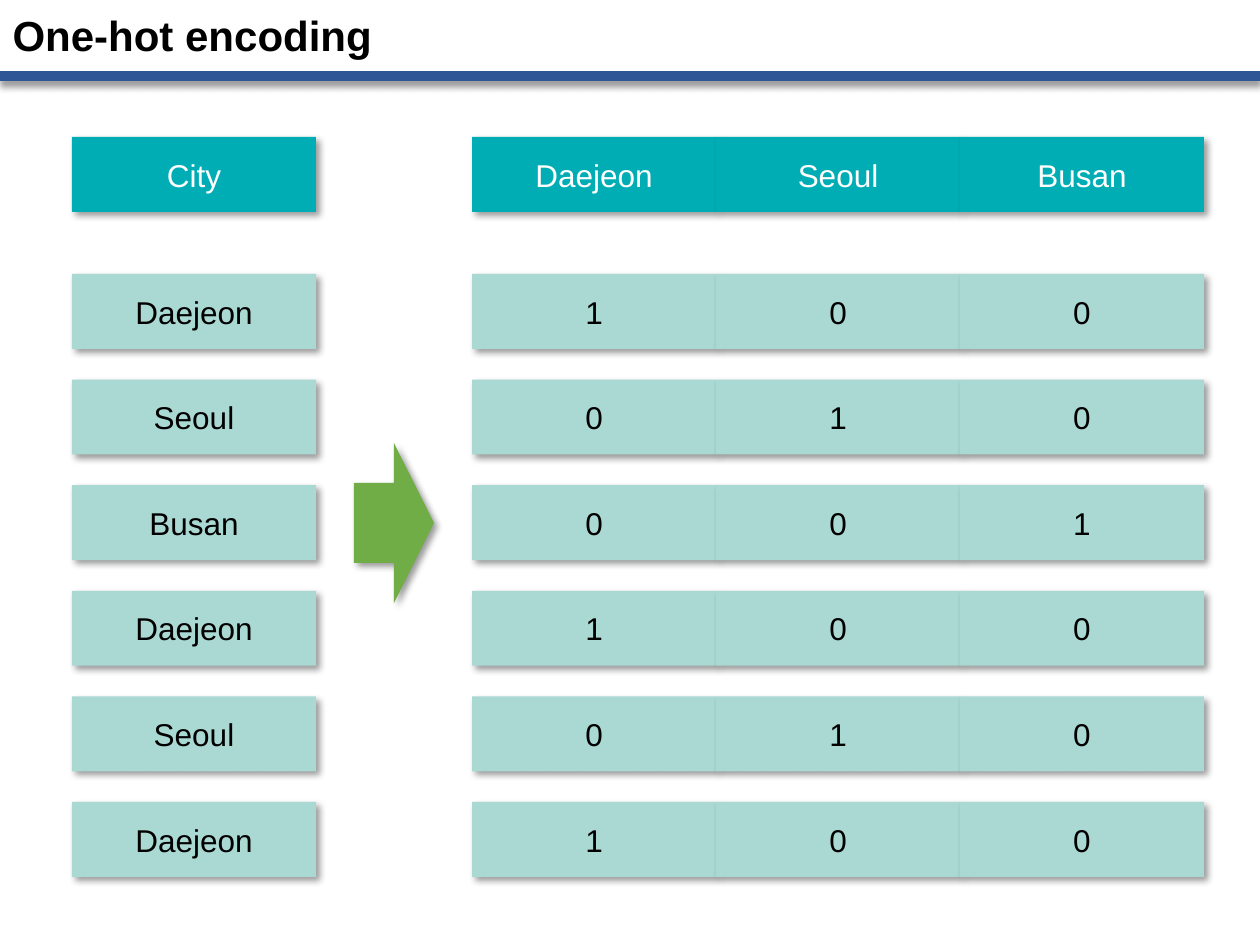
"""Build a slide that shows one-hot encoding of a city column."""
from lxml.etree import SubElement
from pptx import Presentation
from pptx.dml.color import RGBColor
from pptx.enum.shapes import MSO_CONNECTOR, MSO_SHAPE
from pptx.enum.text import MSO_ANCHOR, PP_ALIGN
from pptx.oxml.ns import qn
from pptx.util import Emu, Pt

TITLE = "One-hot encoding"
COLUMN = "City"
CATEGORIES = ["Daejeon", "Seoul", "Busan"]
CITIES = ["Daejeon", "Seoul", "Busan", "Daejeon", "Seoul", "Daejeon"]

FONT = "Arial"
BLACK, WHITE = "000000", "FFFFFF"
HEADER_FILL, VALUE_FILL = "00ADB5", "AAD8D3"
ARROW_FILL, RULE_COLOR = "70AD47", "2F5597"

SLIDE_WIDTH, SLIDE_HEIGHT = 1260, 945
TITLE_HEIGHT, RULE_TOP = 75, 76
CELL_WIDTH, CELL_HEIGHT = 244, 75
CITY_LEFT, CODE_LEFT = 72, 472
HEADER_TOP, FIRST_TOP, LAST_TOP = 137, 274, 802
ARROW_BOX = (354, 443, 80, 160)


def px(value):
    return Emu(round(value * 914400 / 126))


def color(hex_string):
    return RGBColor.from_string(hex_string)


def add_shadow(shape, angle):
    effects = SubElement(shape._element.spPr, qn("a:effectLst"))
    shadow = SubElement(effects, qn("a:outerShdw"), blurRad=str(Pt(4)), dist=str(Pt(3)),
                        dir=str(angle * 60000), algn="tl", rotWithShape="0")
    shade = SubElement(shadow, qn("a:srgbClr"), val=BLACK)
    SubElement(shade, qn("a:alpha"), val="40000")


def add_run(paragraph, text, size, font_color, bold=False):
    run = paragraph.add_run()
    run.text = text
    run.font.name = FONT
    run.font.size = Pt(size)
    run.font.bold = bold
    run.font.color.rgb = color(font_color)


def add_block(shapes, preset, box, fill):
    shape = shapes.add_shape(preset, *map(px, box))
    shape.fill.solid()
    shape.fill.fore_color.rgb = color(fill)
    shape.line.fill.background()
    add_shadow(shape, 45)
    return shape


def add_cell(shapes, left, top, text, fill, font_color):
    cell = add_block(shapes, MSO_SHAPE.RECTANGLE, (left, top, CELL_WIDTH, CELL_HEIGHT), fill)
    cell.text_frame.vertical_anchor = MSO_ANCHOR.MIDDLE
    paragraph = cell.text_frame.paragraphs[0]
    paragraph.alignment = PP_ALIGN.CENTER
    add_run(paragraph, text, 18, font_color)


def add_row(shapes, top, texts, fill, font_color):
    for index, text in enumerate(texts):
        add_cell(shapes, CODE_LEFT + index * CELL_WIDTH, top, text, fill, font_color)


def add_title(slide):
    rule = slide.shapes.add_connector(MSO_CONNECTOR.STRAIGHT, 0, px(RULE_TOP),
                                      px(SLIDE_WIDTH), px(RULE_TOP))
    rule.line.color.rgb = color(RULE_COLOR)
    rule.line.width = Pt(6)
    add_shadow(rule, 90)
    title = slide.shapes.title
    title.left, title.top = 0, 0
    title.width, title.height = px(SLIDE_WIDTH), px(TITLE_HEIGHT)
    title.text_frame.vertical_anchor = MSO_ANCHOR.MIDDLE
    paragraph = title.text_frame.paragraphs[0]
    paragraph.alignment = PP_ALIGN.LEFT
    paragraph.line_spacing = 0.9
    add_run(paragraph, TITLE, 24, BLACK, bold=True)


def main():
    presentation = Presentation()
    presentation.slide_width, presentation.slide_height = px(SLIDE_WIDTH), px(SLIDE_HEIGHT)
    slide = presentation.slides.add_slide(presentation.slide_layouts[5])
    add_title(slide)

    add_cell(slide.shapes, CITY_LEFT, HEADER_TOP, COLUMN, HEADER_FILL, WHITE)
    add_row(slide.shapes, HEADER_TOP, CATEGORIES, HEADER_FILL, WHITE)

    pitch = (LAST_TOP - FIRST_TOP) / (len(CITIES) - 1)
    for index, city in enumerate(CITIES):
        top = FIRST_TOP + index * pitch
        add_cell(slide.shapes, CITY_LEFT, top, city, VALUE_FILL, BLACK)
        code = [str(int(city == category)) for category in CATEGORIES]
        group = slide.shapes.add_group_shape()
        add_row(group.shapes, top, code, VALUE_FILL, BLACK)

    add_block(slide.shapes, MSO_SHAPE.RIGHT_ARROW, ARROW_BOX, ARROW_FILL)
    presentation.save("out.pptx")


if __name__ == "__main__":
    main()
